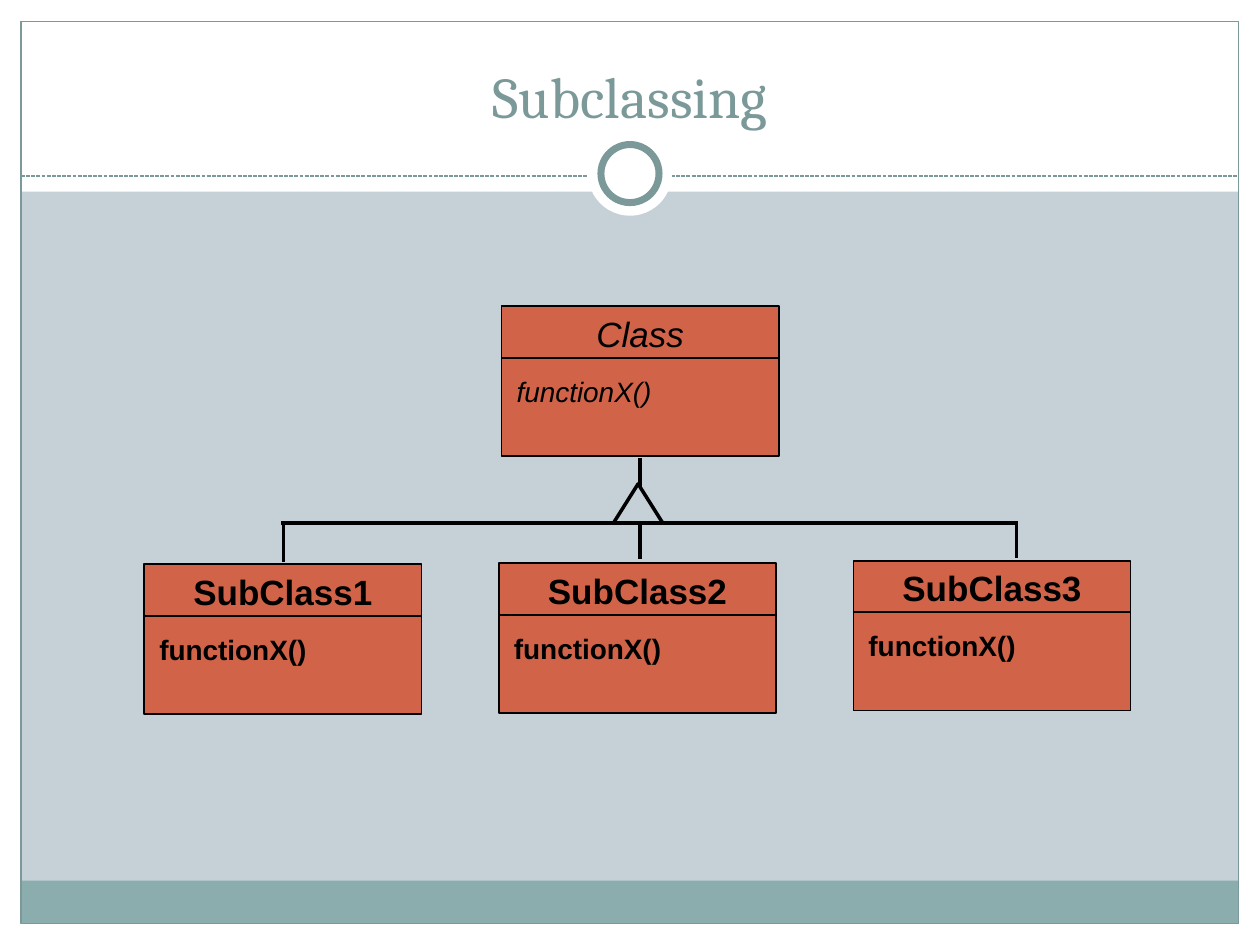
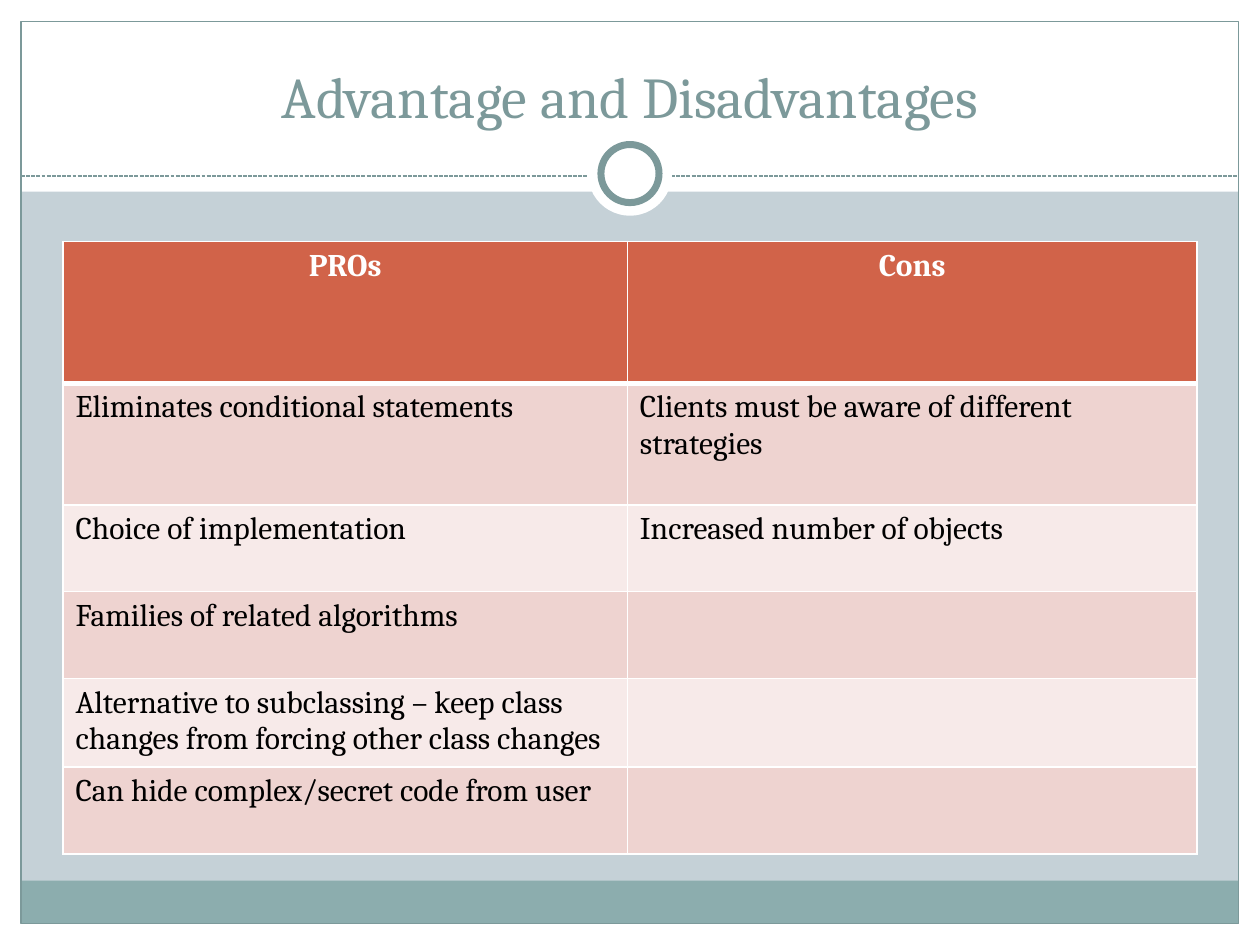
from lxml import etree
from pptx import Presentation
from pptx import util as u
from pptx.dml.color import RGBColor
from pptx.enum import dml, shapes, text
from pptx.oxml import ns

COLORS = {
    "back": "C5D1D7", "white": "FFFFFF", "black": "000000", "teal": "7C999A",
    "footer": "8CADAE", "orange": "D16349", "dark": "EED3D0", "light": "F7EAE9",
}
BODY, DIAGRAM = "Cambria", "Arial"
RECT, OVAL = shapes.MSO_SHAPE.RECTANGLE, shapes.MSO_SHAPE.OVAL
TRIANGLE = shapes.MSO_SHAPE.ISOSCELES_TRIANGLE
CENTER, LEFT = text.PP_ALIGN.CENTER, text.PP_ALIGN.LEFT
BOX_W, BOX_H = 158.4, 85.7

PROS_CONS = [
    ("PROs", "Cons"),
    ("Eliminates conditional statements", "Clients must be aware of different strategies"),
    ("Choice of implementation", "Increased number of objects"),
    ("Families of related algorithms", ""),
    ("Alternative to subclassing – keep class changes from forcing other class changes", ""),
    ("Can hide complex/secret code from user", ""),
]


def rgb(name):
    """Return the named colour."""
    return RGBColor.from_string(COLORS[name])


def pts(*values):
    """Convert numbers to point lengths."""
    return [u.Pt(v) for v in values]


def write(tf, words, size, color, font, align=LEFT, bold=False, italic=False):
    """Write one styled paragraph into a text frame."""
    tf.word_wrap = True
    p = tf.paragraphs[0]
    p.text, p.alignment = words, align
    p.font.name, p.font.size = font, u.Pt(size)
    p.font.bold, p.font.italic = bold, italic
    p.font.color.rgb = rgb(color)


def add_shape(slide, kind, x, y, w, h, fill=None, line=None, width=1):
    """Add a flat preset shape."""
    sp = slide.shapes.add_shape(kind, *pts(x, y, w, h))
    sp.shadow.inherit = False
    if fill:
        sp.fill.solid()
        sp.fill.fore_color.rgb = rgb(fill)
    else:
        sp.fill.background()
    if line:
        sp.line.color.rgb = rgb(line)
        sp.line.width = u.Pt(width)
    else:
        sp.line.fill.background()
    return sp


def add_line(slide, x1, y1, x2, y2, width, color="black"):
    """Add a straight connector without a shadow."""
    cx = slide.shapes.add_connector(shapes.MSO_CONNECTOR.STRAIGHT, *pts(x1, y1, x2, y2))
    cx.line.color.rgb = rgb(color)
    cx.line.width = u.Pt(width)
    etree.SubElement(cx._element.spPr, ns.qn("a:effectLst"))
    return cx


def add_text(slide, x, y, w, h, anchor=text.MSO_ANCHOR.TOP):
    """Add a text box and return its text frame."""
    tf = slide.shapes.add_textbox(*pts(x, y, w, h)).text_frame
    tf.vertical_anchor = anchor
    return tf


def add_slide(prs, title):
    """Add a slide with the shared frame, bands, ring and title."""
    slide = prs.slides.add_slide(prs.slide_layouts[6])
    slide.background.fill.solid()
    slide.background.fill.fore_color.rgb = rgb("back")
    for x, y, w, h in [(0, 528, 720, 12), (0, 0, 720, 109.5), (0, 0, 12, 540), (708, 0, 12, 540)]:
        add_shape(slide, RECT, x, y, w, h, "white")
    add_shape(slide, RECT, 12, 503.2, 695.5, 24.5, "footer")
    add_shape(slide, RECT, 12, 12.2, 695.6, 515.5, line="teal", width=0.75)
    rule = add_line(slide, 12, 100.6, 707.6, 100.6, 0.75, "teal")
    rule.line.dash_style = dml.MSO_LINE.SQUARE_DOT
    add_shape(slide, OVAL, 336, 75.3, 48, 48, "white")
    add_shape(slide, OVAL, 343.4, 82.6, 33.2, 33.2, "white", "teal", 4)
    tf = add_text(slide, 24, 18, 672, 59.8, text.MSO_ANCHOR.BOTTOM)
    write(tf, title, 33, "teal", BODY, CENTER)
    return slide


def add_class(slide, name, x, y, abstract=False):
    """Add a class box with its name, divider and method."""
    style = {"bold": not abstract, "italic": abstract}
    sp = add_shape(slide, RECT, x, y, BOX_W, BOX_H, "orange", "black")
    sp.text_frame.vertical_anchor = text.MSO_ANCHOR.TOP
    write(sp.text_frame, name, 20, "black", DIAGRAM, CENTER, **style)
    add_line(slide, x - 0.5, y + 29.5, x + BOX_W, y + 29.5, 1)
    tf = add_text(slide, x + 1.5, y + 35.3, 160, 46)
    write(tf, "functionX()", 16, "black", DIAGRAM, **style)


def add_borders(cell, bottom, top):
    """Draw white borders around a table cell."""
    tcPr = cell._tc.get_or_add_tcPr()
    for i, (side, width) in enumerate([("L", 1), ("R", 1), ("T", top), ("B", bottom)]):
        ln = etree.Element(ns.qn(f"a:ln{side}"), w=str(u.Pt(width)))
        fill = etree.SubElement(ln, ns.qn("a:solidFill"))
        etree.SubElement(fill, ns.qn("a:srgbClr"), val=COLORS["white"])
        tcPr.insert(i, ln)


def add_table(slide, rows, x, y, widths, heights):
    """Add a table with a strong header and banded rows."""
    frame = slide.shapes.add_table(len(rows), len(widths), *pts(x, y, sum(widths), sum(heights)))
    table = frame.table
    for column, width in zip(table.columns, widths):
        column.width = u.Pt(width)
    for i, (row, height) in enumerate(zip(rows, heights)):
        table.rows[i].height = u.Pt(height)
        head = i == 0
        for j, words in enumerate(row):
            cell = table.cell(i, j)
            cell.fill.solid()
            cell.fill.fore_color.rgb = rgb("orange" if head else "dark" if i % 2 else "light")
            add_borders(cell, bottom=3 if head else 1, top=3 if i == 1 else 1)
            write(cell.text_frame, words, 18, "white" if head else "black", BODY,
                  CENTER if head else LEFT, bold=head)


def build_subclassing(prs):
    """Build the class diagram slide."""
    slide = add_slide(prs, "Subclassing")
    add_line(slide, 365.8, 262, 365.8, 319.7, 2)
    add_shape(slide, TRIANGLE, 350.6, 276.5, 28.1, 22.3, "back", "black", 2)
    add_class(slide, "Class", 286.6, 175, abstract=True)
    add_line(slide, 160.7, 298.8, 580.5, 298.8, 2)
    add_line(slide, 162, 298.8, 162, 321, 2)
    add_line(slide, 581, 298, 581, 319, 2)
    for i, y in enumerate([322.4, 321.8, 320.4]):
        add_class(slide, f"SubClass{i + 1}", 82.5 + 202.6 * i, y)


def build_pros_cons(prs):
    """Build the comparison table slide."""
    slide = add_slide(prs, "Advantage and Disadvantages")
    add_table(slide, PROS_CONS, 36, 138, [322.5, 325.5], [81, 69.5] + [49.7] * 4)


def main():
    """Build and save the presentation."""
    prs = Presentation()
    prs.slide_width, prs.slide_height = pts(720, 540)
    build_subclassing(prs)
    build_pros_cons(prs)
    prs.save("out.pptx")


if __name__ == "__main__":
    main()
